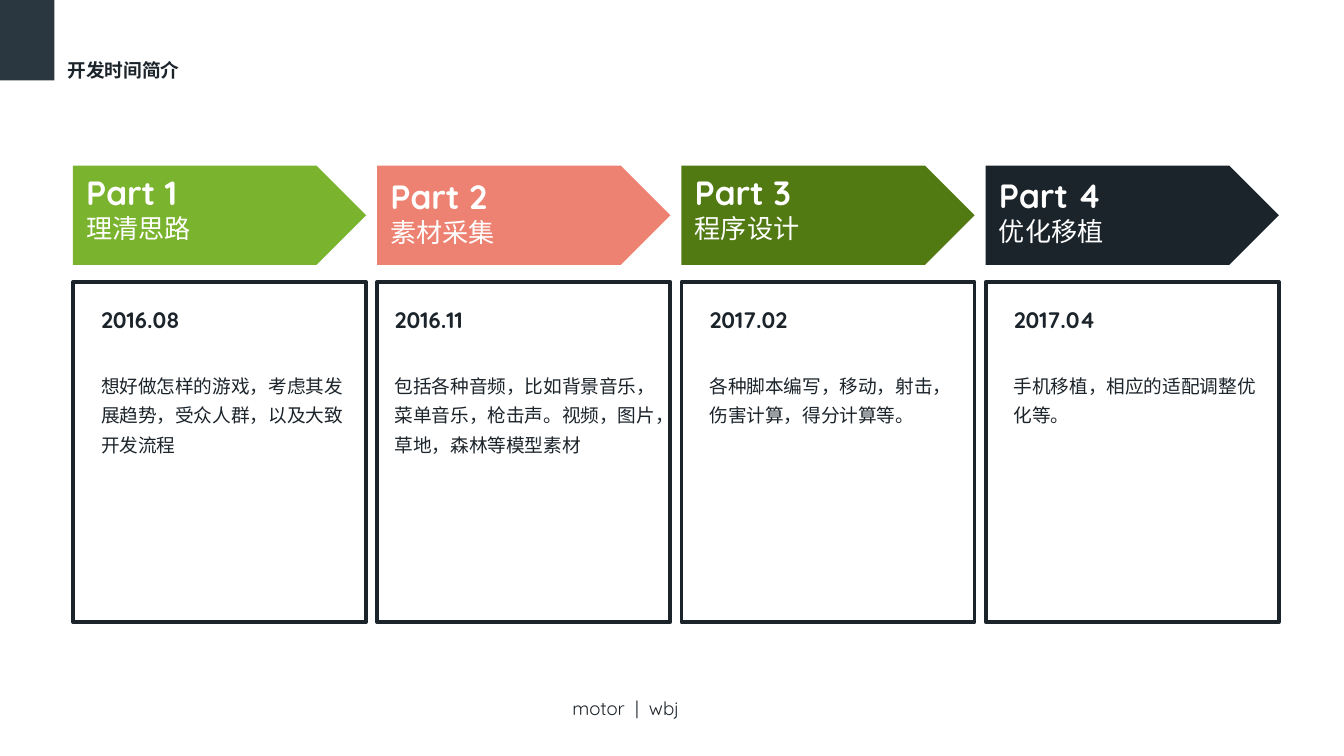
from pptx import Presentation
from pptx.dml.color import RGBColor
from pptx.enum.shapes import MSO_SHAPE
from pptx.enum.text import MSO_ANCHOR, MSO_AUTO_SIZE
from pptx.util import Cm, Pt

FONT = "Quicksand"
DARK = RGBColor(0x1C, 0x24, 0x2B)
SLATE = RGBColor(0x2A, 0x37, 0x41)
GREEN = RGBColor(0x7A, 0xB3, 0x2E)
CORAL = RGBColor(0xEE, 0x82, 0x72)
OLIVE = RGBColor(0x51, 0x7A, 0x13)
WHITE = RGBColor(0xFF, 0xFF, 0xFF)

# Column grid and row positions, in centimetres
COLUMN_LEFT, COLUMN_PITCH, COLUMN_WIDTH = 1.38, 5.75, 5.54
ARROW_TOP, ARROW_HEIGHT = 3.13, 1.88
CARD_TOP, CARD_HEIGHT = 5.33, 6.43
DATE_GAP = 19  # points between the date and the description

# Colour, title, subtitle, title drop, date, description, text inset, text height
PARTS = [
    (GREEN, "Part 1", "理清思路", 0, "2016.08",
     ["想好做怎样的游戏，考虑其发展趋势，受众人群，以及大致开发流程"], 0.28, 3.25),
    (CORAL, "Part 2", "素材采集", 0.08, "2016.11",
     ["包括各种音频，比如背景音乐，菜单音乐，枪击声。视频，图片，",
      "草地，森林等模型素材"], 0.08, 3.25),
    (OLIVE, "Part 3", "程序设计", 0, "2017.02",
     ["各种脚本编写，移动，射击，伤害计算，得分计算等。"], 0.28, 2.69),
    (DARK, "Part 4", "优化移植", 0.05, "2017.04",
     ["手机移植，相应的适配调整优化等。"], 0.28, 2.69),
]


def add_text(slide, box, lines, color=DARK, line_spacing=1.0):
    """Write lines of (text, size, bold, space before) in a text box."""
    shape = slide.shapes.add_textbox(*(Cm(value) for value in box))
    frame = shape.text_frame
    frame.word_wrap = True
    frame.auto_size = MSO_AUTO_SIZE.SHAPE_TO_FIT_TEXT
    frame.vertical_anchor = MSO_ANCHOR.TOP
    for index, (text, size, bold, space_before) in enumerate(lines):
        paragraph = frame.add_paragraph() if index else frame.paragraphs[0]
        paragraph.line_spacing = line_spacing
        paragraph.space_before = Pt(space_before)
        run = paragraph.add_run()
        run.text = text
        run.font.name = FONT
        run.font.size = Pt(size)
        run.font.bold = bold
        run.font.color.rgb = color


def add_block(slide, kind, box, fill=None, line=None):
    """Draw a preset shape with a plain fill or a plain outline."""
    shape = slide.shapes.add_shape(kind, *(Cm(value) for value in box))
    shape.shadow.inherit = False
    if fill is None:
        shape.fill.background()
    else:
        shape.fill.solid()
        shape.fill.fore_color.rgb = fill
    if line is None:
        shape.line.fill.background()
    else:
        shape.line.color.rgb = line
        shape.line.width = Pt(2)


def add_header(slide, box):
    """Corner block with the slide title to its right."""
    left, top, width, height = box
    block_width = 1.03
    add_block(slide, MSO_SHAPE.RECTANGLE, (left, top, block_width, height), fill=SLATE)
    add_text(slide, (left + block_width, top + 1.04, width - block_width, 0.66),
             [("开发时间简介", 10, True, 0)], line_spacing=0.9)


def add_arrow(slide, box, color, title, subtitle, drop):
    """Coloured arrow with a part title."""
    left, top, width, height = box
    add_block(slide, MSO_SHAPE.PENTAGON, box, fill=color)
    add_text(slide, (left, top + drop, width - 0.89, 1.63),
             [(title, 18, True, 0), (subtitle, 14, False, 0)], color=WHITE)


def add_card(slide, box, date, description, inset, text_height):
    """Outlined card with a date and a description."""
    left, top, width, height = box
    lines = [(date, 12, True, 0)]
    lines += [(text, 10, False, 0 if index else DATE_GAP)
              for index, text in enumerate(description)]
    add_text(slide, (left + inset, top + 0.18, width - inset, text_height),
             lines, line_spacing=1.3)
    add_block(slide, MSO_SHAPE.RECTANGLE, box, line=DARK)


def add_footer(slide, box):
    """Footer line."""
    add_text(slide, box, [("motor  |  wbj", 10, False, 0)], line_spacing=1.3)


def main():
    presentation = Presentation()
    presentation.slide_width = Cm(25.4)
    presentation.slide_height = Cm(14.29)
    slide = presentation.slides.add_slide(presentation.slide_layouts[6])

    add_header(slide, (0, 0, 7.16, 1.52))
    add_footer(slide, (10.57, 12.92, 4.19, 0.81))

    # One arrow and one card in each column
    for index, part in enumerate(PARTS):
        color, title, subtitle, drop, date, description, inset, text_height = part
        left = COLUMN_LEFT + index * COLUMN_PITCH
        add_arrow(slide, (left, ARROW_TOP, COLUMN_WIDTH, ARROW_HEIGHT),
                  color, title, subtitle, drop)
        add_card(slide, (left, CARD_TOP, COLUMN_WIDTH, CARD_HEIGHT),
                 date, description, inset, text_height)

    presentation.save("out.pptx")


if __name__ == "__main__":
    main()
